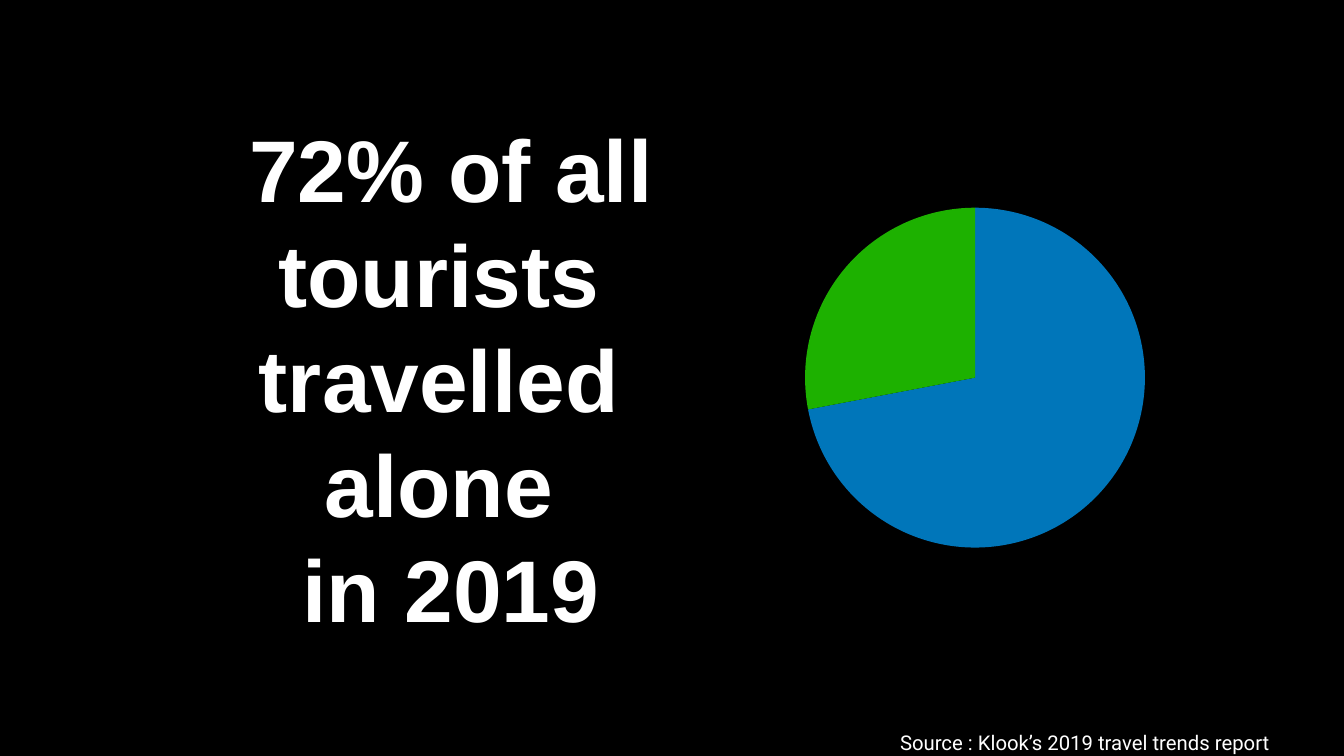
import pptx
import pptx.chart.data
import pptx.dml.color
import pptx.enum.chart
import pptx.enum.text
import pptx.oxml
import pptx.oxml.ns
import pptx.util

RGBColor = pptx.dml.color.RGBColor
BLACK = RGBColor(0x00, 0x00, 0x00)
WHITE = RGBColor(0xFF, 0xFF, 0xFF)
BLUE = RGBColor(0x00, 0x76, 0xBA)
GREEN = RGBColor(0x1D, 0xB1, 0x00)

EMU_PER_PX = 914400 / 50.4
WIDTH, HEIGHT = 1344, 756


def px(length):
    return pptx.util.Emu(round(length * EMU_PER_PX))


def apply(target, values):
    for name, value in values.items():
        setattr(target, name, value)


class SlideBuilder:
    inset = 3
    colour = WHITE

    def __init__(self, slide):
        self.slide = slide

    def background(self, colour):
        fill = self.slide.background.fill
        fill.solid()
        fill.fore_color.rgb = colour

    def text(self, box, lines, font, spacing, align, right_inset=inset):
        frame = self.slide.shapes.add_textbox(*map(px, box)).text_frame
        apply(frame, {
            "margin_left": px(self.inset),
            "margin_top": px(self.inset),
            "margin_right": px(right_inset),
            "margin_bottom": px(self.inset),
            "word_wrap": False,
            "auto_size": pptx.enum.text.MSO_AUTO_SIZE.SHAPE_TO_FIT_TEXT,
            "vertical_anchor": pptx.enum.text.MSO_ANCHOR.MIDDLE,
        })
        for index, line in enumerate(lines):
            paragraph = frame.add_paragraph() if index else frame.paragraphs[0]
            apply(paragraph, {"alignment": align,
                              "line_spacing": pptx.util.Pt(spacing)})
            run = paragraph.add_run()
            run.text = line
            apply(run.font, font)
            run.font.color.rgb = self.colour

    def pie(self, box, name, values, colours):
        data = pptx.chart.data.CategoryChartData()
        data.categories = [str(i + 1) for i in range(len(values))]
        data.add_series(name, values)
        chart = self.slide.shapes.add_chart(
            pptx.enum.chart.XL_CHART_TYPE.PIE, *map(px, box), data).chart
        apply(chart, {"has_legend": False, "has_title": False})
        apply(chart.font, {"name": "Arial", "size": pptx.util.Pt(10)})
        chart.font.color.rgb = self.colour
        plot = chart.plots[0]
        plot.vary_by_categories = True
        series = plot.series[0]
        series.format.fill.solid()
        series.format.fill.fore_color.rgb = colours[0]
        for index, colour in enumerate(colours):
            part = series.points[index].format
            part.fill.solid()
            part.fill.fore_color.rgb = colour
            part.line.fill.background()
        self.fill_frame(chart)

    def fill_frame(self, chart):
        """Stretch the plot area over nearly the whole chart frame."""
        area = chart.element.find(".//" + pptx.oxml.ns.qn("c:plotArea"))
        for old in area.findall(pptx.oxml.ns.qn("c:layout")):
            area.remove(old)
        settings = {"layoutTarget": "inner", "xMode": "edge", "yMode": "edge",
                    "x": 0.005, "y": 0.005, "w": 0.99, "h": 0.988}
        tags = "".join(f'<c:{tag} val="{value}"/>'
                       for tag, value in settings.items())
        area.insert(0, pptx.oxml.parse_xml(
            f'<c:layout {pptx.oxml.ns.nsdecls("c")}>'
            f"<c:manualLayout>{tags}</c:manualLayout></c:layout>"))


def main():
    deck = pptx.Presentation()
    apply(deck, {"slide_width": px(WIDTH), "slide_height": px(HEIGHT)})
    builder = SlideBuilder(deck.slides.add_slide(deck.slide_layouts[6]))
    builder.background(BLACK)
    align = pptx.enum.text.PP_ALIGN

    # Share of solo travellers
    builder.pie((803, 206, 344, 344), "Series 1", (72, 28), (BLUE, GREEN))

    # Headline, set left of its box centre by a wide right inset
    builder.text(
        (234, 108, 466, 539),
        ("72% of all ", "tourists ", "travelled ", "alone ", "in 2019"),
        {"name": "Arial", "size": pptx.util.Pt(125), "bold": True},
        150, align.CENTER, right_inset=35)

    # Source line
    builder.text(
        (897, 723, 442, 29),
        ("Source : Klook’s 2019 travel trends report",),
        {"name": "Roboto", "size": pptx.util.Pt(29)},
        48, align.LEFT)

    deck.save("out.pptx")


if __name__ == "__main__":
    main()
